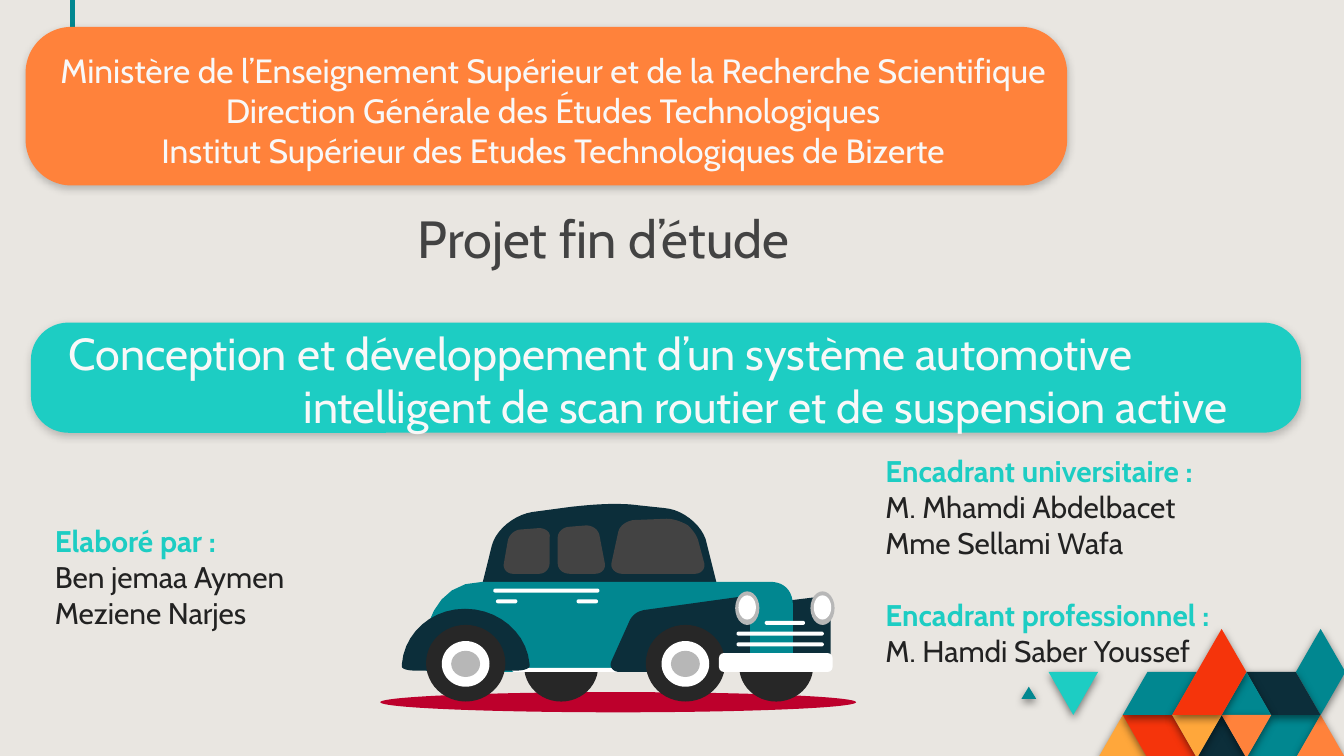
from lxml import etree
from pptx import Presentation
from pptx import util as u
from pptx.dml.color import RGBColor
from pptx.enum import shapes, text
from pptx.oxml import ns

COLUMNS, ROWS = 100, 56.25
COLORS = {
    "paper": "E9E6E1", "teal": "018790", "turquoise": "1DCDC3", "navy": "0C2E3A",
    "orange": "FF823B", "amber": "FFA73B", "red": "F5340B", "crimson": "BD002C",
    "tire": "272727", "glass": "434343", "silver": "B7B7B7", "white": "FFFFFF",
    "light": "F8F8F8", "ink": "222222",
}
OVAL = shapes.MSO_SHAPE.OVAL
ROUND = shapes.MSO_SHAPE.ROUNDED_RECTANGLE
TRIANGLE = shapes.MSO_SHAPE.ISOSCELES_TRIANGLE


def bezier(start, curve, steps=10):
    """Points along a cubic curve, after its start."""
    corners = [start, curve[:2], curve[2:4], curve[4:]]
    for step in range(1, steps + 1):
        t = step / steps
        weights = ((1 - t) ** 3, 3 * t * (1 - t) ** 2, 3 * t * t * (1 - t), t ** 3)
        yield tuple(sum(w * c[axis] for w, c in zip(weights, corners)) for axis in (0, 1))


class Deck:
    """Holds the style and the current slide; lengths are columns and rows."""
    font = "Cabin"

    def __init__(self):
        self.presentation = Presentation()
        self.presentation.slide_width = u.Inches(10)
        self.presentation.slide_height = u.Inches(5.625)
        self.column = self.presentation.slide_width / COLUMNS
        self.row = self.presentation.slide_height / ROWS
        self.slide = self.presentation.slides.add_slide(self.presentation.slide_layouts[0])
        self.target = self.slide.shapes

    def color(self, name):
        return RGBColor.from_string(COLORS[name])

    def box(self, x, y, width, height):
        return (round(x * self.column), round(y * self.row),
                round(width * self.column), round(height * self.row))

    def background(self, color):
        fill = self.slide.background.fill
        fill.solid()
        fill.fore_color.rgb = self.color(color)

    def start_group(self):
        self.target = self.slide.shapes.add_group_shape().shapes

    def end_group(self):
        self.target = self.slide.shapes

    def paint(self, shape, color, shadow):
        shape.fill.solid()
        shape.fill.fore_color.rgb = self.color(color)
        shape.line.fill.background()
        shape.shadow.inherit = False
        if shadow:
            effects = shape.element.spPr.find(ns.qn("a:effectLst"))
            outer = etree.SubElement(effects, ns.qn("a:outerShdw"), blurRad="57150",
                                     dist="19050", dir="5400000", algn="bl", rotWithShape="0")
            black = etree.SubElement(outer, ns.qn("a:srgbClr"), val="000000")
            etree.SubElement(black, ns.qn("a:alpha"), val=str(shadow * 1000))

    def preset(self, kind, color, place, corner=None, shadow=0):
        shape = self.target.add_shape(kind, *self.box(*place))
        if corner is not None:
            shape.adjustments[0] = corner
        self.paint(shape, color, shadow)

    def disc(self, color, x, y, width, height):
        self.preset(OVAL, color, (x - width / 2, y - height / 2, width, height))

    def outline(self, color, start, *segments, shadow=0):
        """Closed outline: pairs are corners, groups of six are curves."""
        points = [start]
        for segment in segments:
            points += [segment] if len(segment) == 2 else bezier(points[-1], segment)
        points = [(round(x * self.column), round(y * self.row)) for x, y in points]
        builder = self.target.build_freeform(*points[0], scale=1.0)
        builder.add_line_segments(points[1:], close=True)
        self.paint(builder.convert_to_shape(), color, shadow)

    def line(self, color, x1, y1, x2, y2, weight):
        connector = self.target.add_connector(
            shapes.MSO_CONNECTOR.STRAIGHT, *self.box(x1, y1, x2, y2))
        connector.line.color.rgb = self.color(color)
        connector.line.width = u.Pt(weight)
        etree.SubElement(connector.element.spPr, ns.qn("a:effectLst"))

    def fill_text(self, shape, lines, size, align, anchor=text.MSO_ANCHOR.TOP, inset=None):
        """Each line is (words, color, bold, points before)."""
        frame = shape.text_frame
        frame.word_wrap = True
        frame.auto_size = text.MSO_AUTO_SIZE.NONE
        frame.vertical_anchor = anchor
        if inset is not None:
            frame.margin_left = frame.margin_right = u.Inches(inset)
            frame.margin_top = frame.margin_bottom = u.Inches(inset)
        for index, (words, color, bold, before) in enumerate(lines):
            paragraph = frame.add_paragraph() if index else frame.paragraphs[0]
            paragraph.alignment = align
            paragraph.space_before = u.Pt(before)
            run = paragraph.add_run()
            run.text = words
            run.font.name, run.font.size, run.font.bold = self.font, u.Pt(size), bold
            run.font.color.rgb = self.color(color)
        return frame.paragraphs[0]

    def text_box(self, place, lines, size, align=text.PP_ALIGN.LEFT):
        self.fill_text(self.target.add_textbox(*self.box(*place)), lines, size, align)

    def placeholder(self, index, place, words, color, size, align, anchor):
        shape = self.slide.placeholders[index]
        shape.left, shape.top, shape.width, shape.height = self.box(*place)
        shape.element.getparent().append(shape.element)  # bring to front
        return self.fill_text(shape, [(words, color, False, 0)], size, align, anchor, inset=0.1)


def draw_mosaic(deck):
    """Tiles on a triangular lattice, corners given as (half-step, row)."""
    tiles = [
        ("amber", (0, 3), (1, 2), (2, 3)),
        ("red", (1, 2), (3, 2), (4, 3), (2, 3)),
        ("teal", (6, 3), (7, 2), (9, 2), (8, 3)),
        ("orange", (8, 3), (9, 2), (10, 3)),
        ("navy", (4, 3), (5, 2), (6, 3)),
        ("teal", (1, 2), (2, 1), (4, 1), (3, 2)),
        ("turquoise", (-2, 1), (0, 1), (-1, 2)),
        ("teal", (8, 1), (9, 0), (10, 1), (9, 2)),
        ("navy", (6, 1), (8, 1), (9, 2), (7, 2)),
        ("teal", (5, 2), (6, 1), (7, 2)),
        ("orange", (5, 2), (7, 2), (6, 3)),
        ("amber", (3, 2), (5, 2), (4, 3)),
        ("red", (3, 2), (5, 0), (6, 1), (5, 2)),
    ]
    deck.start_group()
    for color, *corners in tiles:
        deck.outline(color, *[(81.7 + 1.84 * i, 46.8 + 3.2 * j) for i, j in corners], shadow=50)
    deck.preset(TRIANGLE, "teal", (76, 51.1, 1.1, 0.9), shadow=50)
    deck.end_group()


def draw_car(deck):
    def wheel(x):
        deck.disc("tire", x, 49.35, 5.9, 5.7)
        deck.disc("white", x, 49.4, 3.55, 3.4)
        deck.disc("silver", x, 49.4, 2.15, 1.95)

    def headlight(x):
        deck.disc("silver", x, 45.25, 1.8, 2.5)
        deck.disc("white", x, 45.2, 1.3, 1.8)

    def bar(x, y, width):
        deck.preset(ROUND, "white", (x, y, width, 0.3), 0.5)

    deck.start_group()
    deck.disc("crimson", 46, 52.25, 35.4, 1.5)
    # Roof, far side and body
    deck.outline("navy", (45.6, 37.5), (44.6, 37.5, 43.6, 37.6, 42.6, 37.7), (39.6, 38.1),
                 (38.3, 38.3, 36.9, 39.4, 36.6, 40.6), (35.9, 43.4), (53.3, 43.3), (52.5, 40.1),
                 (52.1, 39, 50.8, 37.9, 49.4, 37.8), (47.5, 37.6),
                 (46.8, 37.5, 46.2, 37.5, 45.6, 37.5))
    deck.disc("tire", 57.75, 49.6, 5.5, 5.2)
    deck.outline("navy", (61, 44.4), (52.9, 45.4), (52.4, 45.5, 52, 45.8, 52, 46.3), (52, 49.1),
                 (52, 49.6, 52.4, 50, 52.9, 50), (60.9, 50), (61.4, 50, 61.8, 49.6, 61.8, 49.1),
                 (61.8, 45.1), (61.8, 44.7, 61.5, 44.4, 61, 44.4))
    headlight(61.2)
    deck.disc("tire", 41.75, 49.6, 5.5, 5.2)
    deck.outline("teal", (35.9, 43.3), (31.2, 43.3, 31.4, 49.4, 31.4, 49.4),
                 (31.4, 49.7, 31.7, 50, 32.1, 50), (58.3, 50), (58.7, 50, 59, 49.7, 59, 49.3),
                 (59, 45.1), (59, 43.8, 58.2, 43.3, 57.3, 43.3))
    bar(38.1, 49.7, 9.2)
    # Near fenders, wheels and bumper
    deck.outline("navy", (34.6, 45.3), (32.1, 45.3, 30.1, 47.1, 29.9, 49.4), (29.9, 49.6),
                 (29.9, 49.8, 30.4, 49.9, 30.8, 49.9), (38.5, 49.9),
                 (38.9, 49.9, 39.3, 49.8, 39.4, 49.6), (39.4, 49.4),
                 (39.2, 47.1, 37.1, 45.3, 34.6, 45.3))
    deck.outline("navy", (55.1, 44.4), (47.9, 45.4), (47.4, 45.5, 47, 45.8, 46.8, 46.3),
                 (45.5, 49.2), (45.3, 49.6, 45.6, 50, 46.1, 50), (55, 50),
                 (55.5, 50, 55.8, 49.6, 55.8, 49.1), (55.8, 45.1),
                 (55.8, 44.8, 55.5, 44.4, 55.1, 44.4))
    wheel(51)
    headlight(55.6)
    wheel(34.65)
    deck.preset(ROUND, "white", (53.5, 48.6, 8.45, 1.4), 0.25)
    # Windows
    deck.outline("glass", (49.6, 38.6), (47.1, 38.7), (46.6, 38.8, 46.1, 39.1, 46, 39.6),
                 (45.5, 41.9), (45.4, 42.3, 45.8, 42.7, 46.3, 42.7), (51.7, 42.7),
                 (52.2, 42.7, 52.5, 42.3, 52.4, 41.9), (52, 40.4),
                 (51.9, 39.9, 51.6, 39.5, 51.2, 39.1), (50.7, 38.8, 50.1, 38.6, 49.6, 38.6))
    deck.outline("glass", (43.6, 39.1), (42.4, 39.2), (41.9, 39.2, 41.5, 39.6, 41.5, 40),
                 (41.5, 41.9), (41.5, 42.4, 41.9, 42.7, 42.4, 42.7), (44.3, 42.7),
                 (44.8, 42.7, 45.1, 42.3, 45, 41.9), (44.6, 39.8),
                 (44.5, 39.4, 44.1, 39.1, 43.6, 39.1))
    deck.outline("glass", (40.1, 39.3), (38.8, 39.4), (38.3, 39.4, 37.9, 39.8, 37.8, 40.2),
                 (37.5, 41.9), (37.4, 42.3, 37.7, 42.7, 38.2, 42.7), (40.1, 42.7),
                 (40.6, 42.7, 40.9, 42.3, 40.9, 41.9), (40.9, 40),
                 (41, 39.6, 40.6, 39.3, 40.1, 39.3))
    # Grille and side trim
    for place in ((54.8, 47, 6.5), (56.9, 46.2, 3), (54.8, 47.8, 6.5),
                  (36.7, 43.8, 7.9), (42.9, 44.6, 1.6), (36.9, 44.6, 1.6)):
        bar(*place)
    deck.end_group()


def main():
    deck = Deck()
    center = text.PP_ALIGN.CENTER
    deck.background("paper")
    deck.line("teal", 5.4, 0, 5.4, 11.6, 2.25)
    draw_mosaic(deck)

    # Subject banner and title
    deck.preset(ROUND, "turquoise", (2.3, 24, 94.5, 8.2), 0.34, shadow=21)
    subject = deck.placeholder(
        1, (4.1, 23.2, 91.8, 8.2), "Conception et développement d’un système automotive "
        "intelligent de scan routier et de suspension active",
        "light", 24, text.PP_ALIGN.LEFT, text.MSO_ANCHOR.TOP)
    hanging = u.Inches(1.75)
    properties = subject._p.get_or_add_pPr()
    properties.set("marL", str(hanging))
    properties.set("indent", str(-hanging))
    title = deck.placeholder(0, (1.55, 14.5, 86.7, 6.5), "Projet fin d’étude",
                             "glass", 28, center, text.MSO_ANCHOR.BOTTOM)
    title.line_spacing = 0.8

    # Institution banner
    deck.preset(ROUND, "orange", (1.9, 2, 77.5, 11.8), 0.29, shadow=21)
    deck.text_box((2.4, 3.2, 77.5, 10), [(words, "light", False, 0) for words in (
        "Ministère de l’Enseignement Supérieur et de la Recherche Scientifique",
        "Direction Générale des Études Technologiques",
        "Institut Supérieur des Etudes Technologiques de Bizerte")], 18, center)

    # Authors and supervisors
    deck.text_box((3.1, 38.4, 21.3, 11.8), [
        ("Elaboré par :", "turquoise", True, 0),
        ("Ben jemaa Aymen", "ink", False, 0),
        ("Meziene Narjes", "ink", False, 0)], 16)
    deck.text_box((64.9, 33.2, 32.4, 22.6), [
        ("Encadrant universitaire :", "turquoise", True, 0),
        ("M. Mhamdi Abdelbacet", "ink", False, 0),
        ("Mme Sellami Wafa", "ink", False, 0),
        ("Encadrant professionnel :", "turquoise", True, 19.4),
        ("M. Hamdi Saber Youssef", "ink", False, 0)], 16)
    draw_car(deck)
    deck.presentation.save("out.pptx")


if __name__ == "__main__":
    main()
